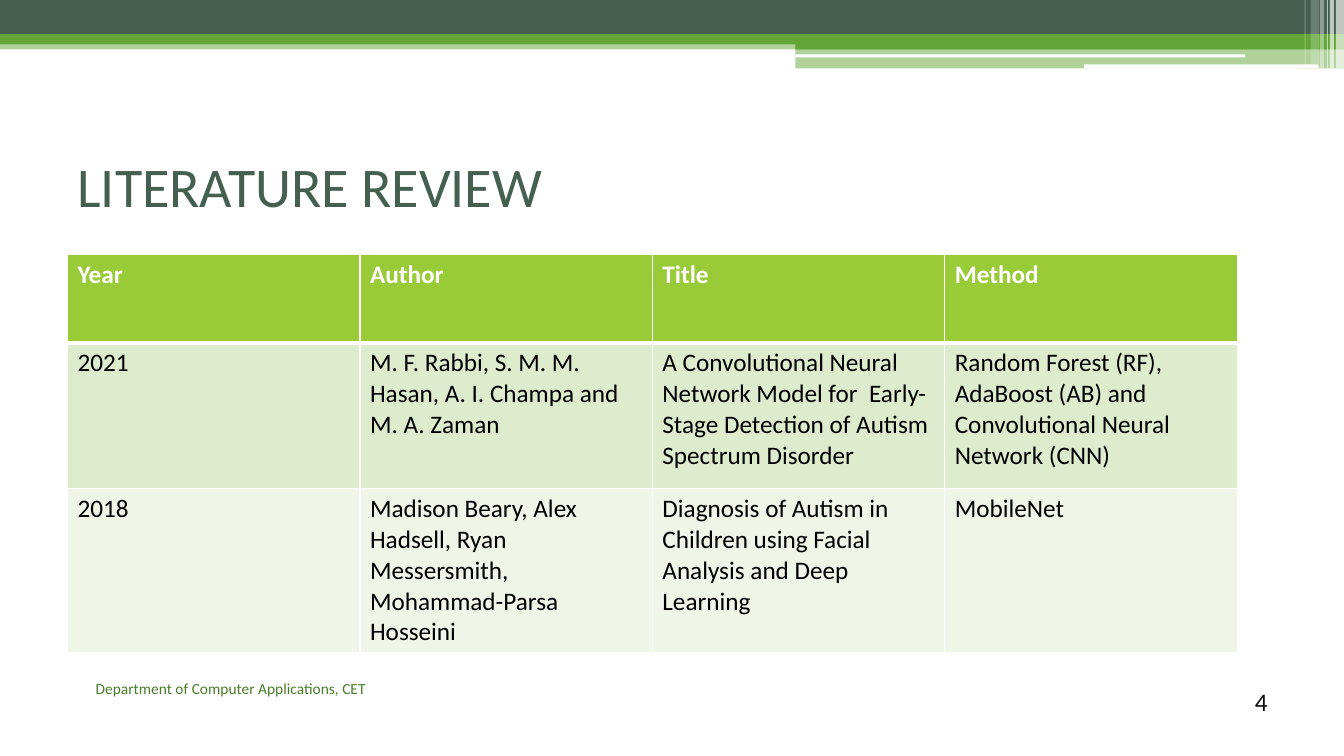
"""Build the literature review slide with its banded header and table."""
from dataclasses import dataclass

from lxml.etree import SubElement
from pptx import Presentation
from pptx.dml.color import RGBColor
from pptx.enum.shapes import MSO_SHAPE as Preset
from pptx.enum.text import MSO_ANCHOR as Anchor, PP_ALIGN as Align
from pptx.oxml.ns import qn
from pptx.slide import Slide
from pptx.table import _Cell as Cell
from pptx.text.text import TextFrame
from pptx.util import Emu, Pt

EMU_PER_PX = 9144
FONT = "Calibri"
COLORS = {
    "dark": "455F51", "green": "63A537", "white": "FFFFFF", "footer": "4A7C29",
    "number": "0D0D0D", "black": "000000", "header": "99CB38",
    "band": "DEECCE", "light_band": "EFF6E8",
}


@dataclass(frozen=True)
class Box:
    left: int
    top: int
    width: int
    height: int


@dataclass(frozen=True)
class Bar:
    box: Box
    color: str
    opacity: int = 100
    rounded: bool = False


@dataclass(frozen=True)
class Row:
    height: int
    fill: str
    texts: tuple[str, str, str, str]
    top_line: int = 1
    bottom_line: int = 1


BARS = (
    Bar(Box(0, 40, 1333, 9), "green", 50),
    Bar(Box(0, 0, 1333, 34), "dark"),
    Bar(Box(0, 34, 1333, 10), "green"),
    Bar(Box(789, 39, 544, 10), "green"),
    Bar(Box(789, 48, 544, 20), "green", 50),
    Bar(Box(788, 54, 447, 3), "white", rounded=True),
    Bar(Box(1075, 64, 233, 4), "white", rounded=True),
    Bar(Box(1325, 0, 8, 68), "white", 65),
    Bar(Box(1319, 0, 4, 68), "white", 65),
    Bar(Box(1316, 0, 1, 68), "white", 60),
    Bar(Box(1309, 0, 4, 68), "white", 40),
    Bar(Box(1300, 0, 8, 64), "white", 20),
    Bar(Box(1294, 0, 1, 64), "white", 30),
)
TABLE_LEFT, TABLE_TOP, COLUMN_WIDTH = 67, 252, 290
ROWS = (
    Row(88, "header", ("Year", "Author", "Title", "Method"), bottom_line=3),
    Row(145, "band", (
        "2021",
        "M. F. Rabbi, S. M. M. Hasan, A. I. Champa and M. A. Zaman",
        "A Convolutional Neural Network Model for  Early-Stage Detection of Autism Spectrum Disorder",
        "Random Forest (RF), AdaBoost (AB) and Convolutional Neural Network (CNN)",
    ), top_line=3),
    Row(162, "light_band", (
        "2018",
        "Madison Beary, Alex Hadsell, Ryan Messersmith, Mohammad-Parsa Hosseini",
        "Diagnosis of Autism in Children using Facial Analysis and Deep Learning",
        "MobileNet",
    )),
)


def px(length: int) -> Emu:
    return Emu(length * EMU_PER_PX)


def place(box: Box) -> tuple[Emu, Emu, Emu, Emu]:
    return px(box.left), px(box.top), px(box.width), px(box.height)


def rgb(name: str) -> RGBColor:
    return RGBColor.from_string(COLORS[name])


def write_text(frame: TextFrame, text: str, *, size: int, color: str,
               bold: bool = False, align: Align = Align.LEFT) -> None:
    paragraph = frame.paragraphs[0]
    paragraph.alignment = align
    run = paragraph.add_run()
    run.text = text
    run.font.name = FONT
    run.font.size = Pt(size)
    run.font.bold = bold
    run.font.color.rgb = rgb(color)


def add_text_box(slide: Slide, box: Box, text: str, *, size: int, color: str,
                 align: Align = Align.LEFT, anchor: Anchor = Anchor.TOP) -> None:
    frame = slide.shapes.add_textbox(*place(box)).text_frame
    frame.word_wrap = True
    frame.vertical_anchor = anchor
    write_text(frame, text, size=size, color=color, align=align)


def add_bar(slide: Slide, bar: Bar) -> None:
    preset = Preset.ROUNDED_RECTANGLE if bar.rounded else Preset.RECTANGLE
    shape = slide.shapes.add_shape(preset, *place(bar.box))
    shape.shadow.inherit = False
    shape.line.fill.background()
    shape.fill.solid()
    shape.fill.fore_color.rgb = rgb(bar.color)
    if bar.opacity < 100:
        color = shape.fill._xPr.find(f"{qn('a:solidFill')}/{qn('a:srgbClr')}")
        SubElement(color, qn("a:alpha"), val=str(bar.opacity * 1000))


def add_borders(cell: Cell, top: int, bottom: int) -> None:
    properties = cell._tc.get_or_add_tcPr()
    for side, points in (("L", 1), ("R", 1), ("T", top), ("B", bottom)):
        line = SubElement(properties, qn(f"a:ln{side}"), w=str(Pt(points)))
        fill = SubElement(line, qn("a:solidFill"))
        SubElement(fill, qn("a:srgbClr"), val=COLORS["white"])


def add_review_table(slide: Slide) -> None:
    column_count = len(ROWS[0].texts)
    box = Box(TABLE_LEFT, TABLE_TOP, COLUMN_WIDTH * column_count,
              sum(row.height for row in ROWS))
    table = slide.shapes.add_table(len(ROWS), column_count, *place(box)).table
    for column in table.columns:
        column.width = px(COLUMN_WIDTH)
    for row_index, row in enumerate(ROWS):
        table.rows[row_index].height = px(row.height)
        is_header = row_index == 0
        for column_index, text in enumerate(row.texts):
            cell = table.cell(row_index, column_index)
            add_borders(cell, row.top_line, row.bottom_line)
            cell.fill.solid()
            cell.fill.fore_color.rgb = rgb(row.fill)
            write_text(cell.text_frame, text, size=18, bold=is_header,
                       color="white" if is_header else "black")


def main() -> None:
    presentation = Presentation()
    presentation.slide_width, presentation.slide_height = px(1333), px(750)
    slide = presentation.slides.add_slide(presentation.slide_layouts[6])
    for bar in BARS:
        add_bar(slide, bar)
    add_text_box(slide, Box(67, 125, 1200, 117), "LITERATURE REVIEW",
                 size=40, color="dark", anchor=Anchor.MIDDLE)
    add_text_box(slide, Box(67, 669, 306, 50), "Department of Computer Applications, CET",
                 size=11, color="footer", align=Align.RIGHT)
    add_text_box(slide, Box(1156, 676, 111, 40), "4", size=18, color="number",
                 align=Align.RIGHT, anchor=Anchor.BOTTOM)
    add_review_table(slide)
    presentation.save("out.pptx")


if __name__ == "__main__":
    main()
